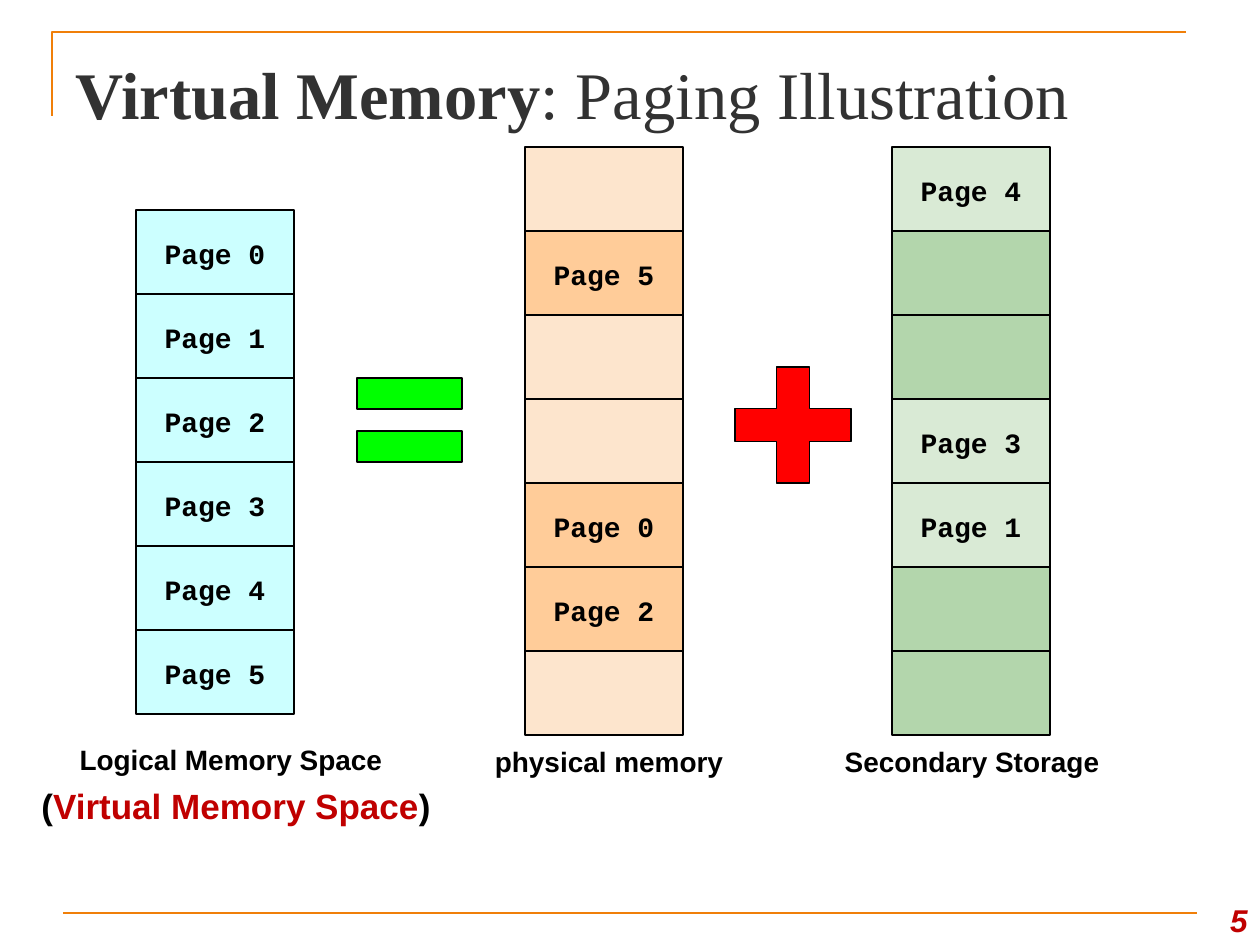
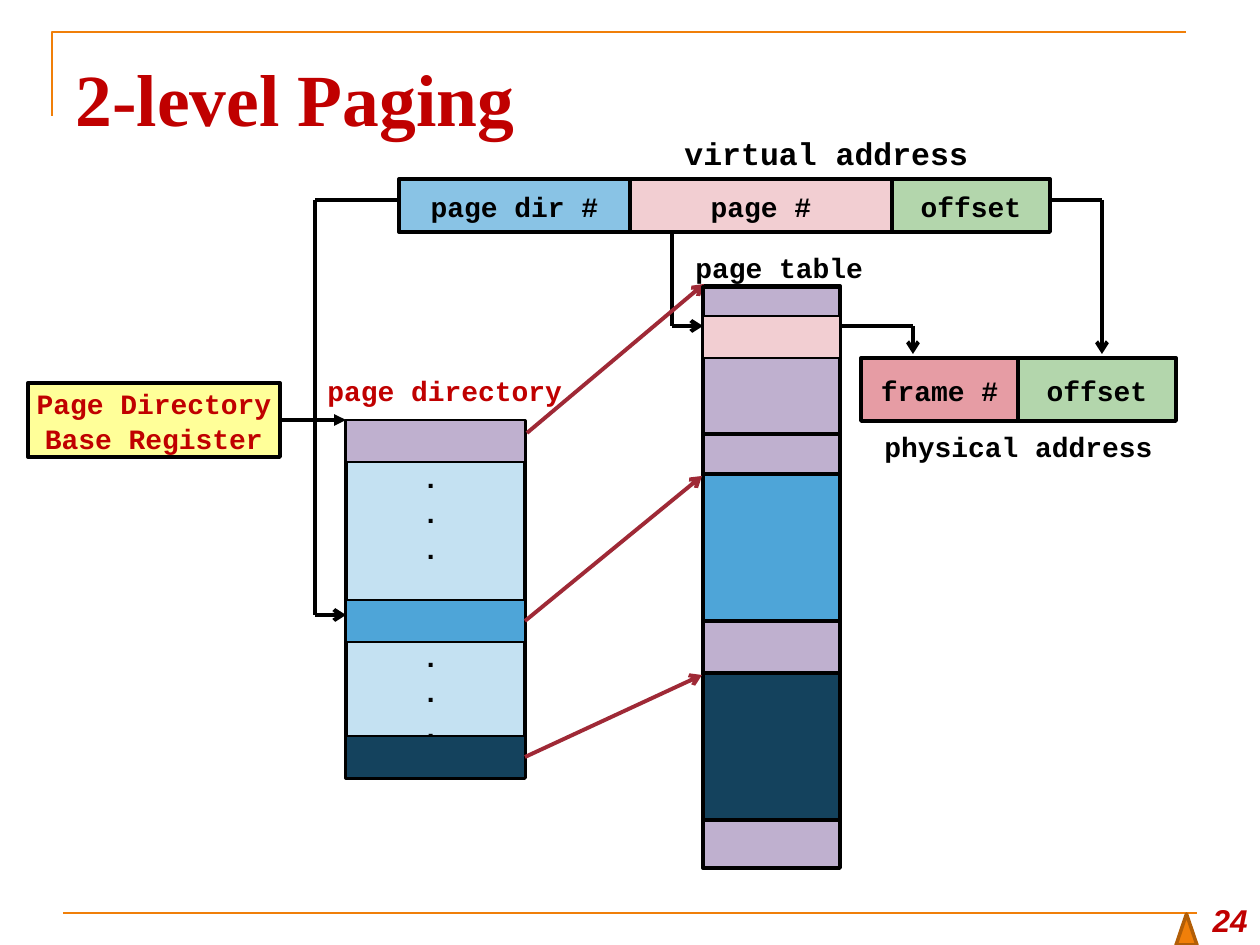
from dataclasses import dataclass
from typing import Any, NamedTuple, Optional

from lxml.etree import SubElement
from pptx import Presentation
from pptx.dml.color import RGBColor
from pptx.enum.shapes import MSO_CONNECTOR as Conn, MSO_SHAPE as Geo
from pptx.enum.text import MSO_ANCHOR as Anchor, MSO_AUTO_SIZE as Auto, PP_ALIGN as Align
from pptx.oxml.ns import qn
from pptx.util import Emu, Pt

PX = 914400 / 126


@dataclass(frozen=True)
class Theme:
    """Colours, fonts and type sizes shared by the slides."""
    black: str = "000000"
    title: str = "323232"
    red: str = "C00000"
    orange: str = "F07F09"
    brown: str = "B25E07"
    cyan: str = "CCFFFF"
    cream: str = "FDE5CD"
    peach: str = "FFCC99"
    green: str = "B3D6AC"
    mint: str = "D9EAD5"
    lime: str = "00FF00"
    plus: str = "FF0000"
    yellow: str = "FFFF99"
    purple: str = "BFB0CF"
    pink: str = "F2CED2"
    rose: str = "E69CA4"
    sky: str = "89C3E5"
    pale: str = "C4E1F2"
    blue: str = "4EA5D8"
    navy: str = "14425D"
    link: str = "9F2936"
    serif: str = "Times New Roman"
    sans: str = "Arial"
    mono: str = "Courier New"
    body: int = 16
    large: int = 18
    accent: int = 20
    thin: float = 0.75
    medium: float = 1.5
    thick: float = 2.25


T = Theme()


class Box(NamedTuple):
    """A place on the slide in px."""
    x: int
    y: int
    w: int
    h: int


class Run(NamedTuple):
    """A piece of text and its character format."""
    text: str
    size: int = T.body
    font: str = T.mono
    color: str = T.black
    bold: bool = True
    italic: bool = False


class Cell(NamedTuple):
    """A filled rectangle with optional lines of text."""
    box: Box
    fill: str
    width: float = T.thick
    text: str = ""
    color: str = T.black


class Column(NamedTuple):
    """A stack of memory cells, None being a free one."""
    x: int
    y: int
    pages: list[Optional[int]]
    used: str
    free: str
    width: float


class Route(NamedTuple):
    """A chain of straight lines with an arrowhead at its end."""
    points: list[tuple[int, int]]
    color: str = T.black
    head: str = "arrow"


def px(v: int) -> Emu:
    """Turn px into EMU."""
    return Emu(round(v * PX))


def rgb(color: str) -> RGBColor:
    """Turn a hex string into a colour."""
    return RGBColor.from_string(color)


def apply(obj: Any, values: dict[str, Any]) -> None:
    """Set each value as an attribute of the object."""
    for name, value in values.items():
        setattr(obj, name, value)


def set_line(shape: Any, color: str, width: float) -> None:
    """Give a shape or connector a solid line."""
    shape.line.color.rgb = rgb(color)
    shape.line.width = Pt(width)


def write(tf: Any, paras: list[list[Run]], align: Align = Align.CENTER, **frame: Any) -> None:
    """Fill a text frame with paragraphs of runs."""
    apply(tf, {"auto_size": Auto.NONE, "vertical_anchor": Anchor.MIDDLE, **frame})
    for i, runs in enumerate(paras):
        p = tf.paragraphs[0] if i == 0 else tf.add_paragraph()
        p.alignment = align
        if runs[0].font == T.mono:
            p.line_spacing = 1.06
        for run in runs:
            r = p.add_run()
            r.text = run.text
            apply(r.font, {"size": Pt(run.size), "name": run.font,
                           "bold": run.bold, "italic": run.italic})
            r.font.color.rgb = rgb(run.color)


def add_text(s: Any, box: Box, paras: list[list[Run]], align: Align = Align.CENTER,
             **frame: Any) -> None:
    """Add a text box."""
    sp = s.shapes.add_textbox(*map(px, box))
    write(sp.text_frame, paras, align, **{"word_wrap": True, **frame})


def add_geo(s: Any, geo: Geo, box: Box, fill: str, line: str, width: float) -> Any:
    """Add a filled preset shape."""
    sp = s.shapes.add_shape(geo, *map(px, box))
    sp.shadow.inherit = False
    sp.fill.solid()
    sp.fill.fore_color.rgb = rgb(fill)
    set_line(sp, line, width)
    return sp


def add_cell(s: Any, cell: Cell) -> Any:
    """Add a rectangle with its text."""
    sp = add_geo(s, Geo.RECTANGLE, cell.box, cell.fill, T.black, cell.width)
    if cell.text:
        write(sp.text_frame, [[Run(t, color=cell.color)] for t in cell.text.split("\n")],
              word_wrap=False)
    return sp


def add_line(s: Any, start: tuple[int, int], end: tuple[int, int], color: str,
             width: float, head: str = "") -> Any:
    """Add a straight connector, with an arrowhead if one is named."""
    c = s.shapes.add_connector(Conn.STRAIGHT, *map(px, (*start, *end)))
    set_line(c, color, width)
    if head:
        SubElement(c.line._get_or_add_ln(), qn("a:tailEnd"), type=head)
    SubElement(c._element.spPr, qn("a:effectLst"))
    return c


def add_route(s: Any, route: Route) -> Any:
    """Add the lines of a route and return the first one."""
    ends = list(zip(route.points, route.points[1:]))
    lines = [add_line(s, a, b, route.color, T.thick, route.head if i == len(ends) else "")
             for i, (a, b) in enumerate(ends, 1)]
    return lines[0]


def add_column(s: Any, col: Column) -> None:
    """Stack the cells of a column downwards."""
    for i, page in enumerate(col.pages):
        free = page is None
        add_cell(s, Cell(Box(col.x, col.y + 84 * i, 158, 84), col.free if free else col.used,
                         col.width, "" if free else f"Page {page}"))


def start_slide(prs: Any, title: list[Run], number: int) -> Any:
    """Add a slide with its frame lines, title and number."""
    s = prs.slides.add_slide(prs.slide_layouts[5])
    fb = s.shapes.build_freeform(52, 116, scale=PX)
    fb.add_line_segments([(52, 32), (1186, 32)], close=False)
    corner = fb.convert_to_shape()
    corner.shadow.inherit = False
    corner.fill.background()
    set_line(corner, T.orange, T.medium)
    add_line(s, (63, 913), (1197, 913), T.orange, T.medium)
    apply(s.shapes.title, dict(zip(("left", "top", "width", "height"), map(px, (63, 38, 1134, 98)))))
    write(s.shapes.title.text_frame, [title], Align.LEFT, vertical_anchor=Anchor.TOP,
          margin_top=px(15), margin_bottom=0)
    add_text(s, Box(1187, 882, 73, 63), [[Run(str(number), T.large, T.sans, T.red, italic=True)]],
             Align.RIGHT, vertical_anchor=Anchor.BOTTOM)
    return s


def build_illustration(prs: Any) -> None:
    """Show logical memory as physical memory plus storage."""
    s = start_slide(prs, [Run("Virtual Memory", 38, T.serif, T.title),
                          Run(": Paging Illustration", 38, T.serif, T.title, False)], 5)
    for col in (
        Column(136, 210, [0, 1, 2, 3, 4, 5], T.cyan, T.cyan, T.thin),
        Column(525, 147, [None, 5, None, None, 0, 2, None], T.peach, T.cream, T.medium),
        Column(892, 147, [4, None, None, 3, 1, None, None], T.mint, T.green, T.medium),
    ):
        add_column(s, col)
    for y in (378, 431):
        add_cell(s, Cell(Box(357, y, 105, 31), T.lime, T.thin))
    plus = add_geo(s, Geo.CROSS, Box(735, 367, 116, 116), T.plus, T.black, T.thin)
    plus.adjustments[0] = 0.36
    for box, label in (
        (Box(42, 735, 378, 49), "Logical Memory Space"),
        (Box(462, 735, 294, 53), "physical memory"),
        (Box(825, 735, 294, 53), "Secondary Storage"),
    ):
        add_text(s, box, [[Run(label, font=T.sans)]])
    add_text(s, Box(29, 759, 414, 94), [[
        Run(t, T.accent, T.sans, c)
        for t, c in (("(", T.black), ("Virtual Memory Space", T.red), (")", T.black))]])


def build_two_level(prs: Any) -> None:
    """Show the address translation through two tables."""
    s = start_slide(prs, [Run("2-level Paging", 42, T.serif, T.red)], 24)
    for cell in (
        Cell(Box(703, 286, 137, 582), T.purple),
        Cell(Box(703, 673, 137, 147), T.navy),
        Cell(Box(703, 474, 137, 147), T.blue),
        Cell(Box(892, 179, 158, 53), T.green, text="offset"),
        Cell(Box(399, 179, 231, 53), T.sky, text="page dir #"),
        Cell(Box(630, 179, 262, 53), T.pink, text="page #"),
        Cell(Box(1018, 358, 158, 63), T.green, text="offset"),
        Cell(Box(861, 358, 157, 63), T.rose, text="frame #"),
    ):
        add_cell(s, cell)
    register = add_cell(s, Cell(Box(28, 383, 252, 74), T.yellow,
                                text="Page Directory\nBase Register", color=T.red))
    for box, label, size, color in (
        (Box(672, 126, 310, 50), "virtual address", T.large, T.black),
        (Box(872, 421, 297, 47), "physical address", T.body, T.black),
        (Box(683, 242, 186, 48), "page table", T.body, T.black),
        (Box(315, 365, 263, 47), "page directory", T.body, T.red),
    ):
        add_text(s, box, [[Run(label, size, color=color)]], Align.LEFT,
                 vertical_anchor=Anchor.TOP, word_wrap=False)
    add_cell(s, Cell(Box(346, 421, 179, 357), T.pale))
    for y in (452, 631):
        add_text(s, Box(410, y, 32, 117), [[Run(".")]] * 3, Align.LEFT, vertical_anchor=Anchor.TOP)
    _, middle, last = [add_cell(s, Cell(Box(346, y, 179, 42), fill, T.medium))
                       for y, fill in ((420, T.purple), (600, T.blue), (736, T.navy))]
    for route in (
        Route([(399, 200), (315, 200), (315, 615), (346, 615)]),
        Route([(672, 232), (672, 326), (703, 326)]),
        Route([(840, 326), (913, 326), (913, 354)]),
        Route([(1050, 200), (1102, 200), (1102, 354)]),
        Route([(527, 433), (704, 284)], T.link),
    ):
        add_route(s, route)
    for source, route in (
        (register, Route([(280, 420), (346, 420)], head="triangle")),
        (middle, Route([(525, 621), (702, 476)], T.link)),
        (last, Route([(525, 757), (702, 675)], T.link)),
    ):
        add_route(s, route).begin_connect(source, 3)
    add_cell(s, Cell(Box(703, 287, 137, 147), T.purple))
    add_cell(s, Cell(Box(703, 316, 137, 42), T.pink, T.medium))
    add_geo(s, Geo.ISOSCELES_TRIANGLE, Box(1176, 914, 21, 31), T.orange, T.brown, 2)


def main() -> None:
    """Build and save the presentation."""
    prs = Presentation()
    apply(prs, {"slide_width": px(1260), "slide_height": px(945)})
    build_illustration(prs)
    build_two_level(prs)
    prs.save("out.pptx")


if __name__ == "__main__":
    main()
